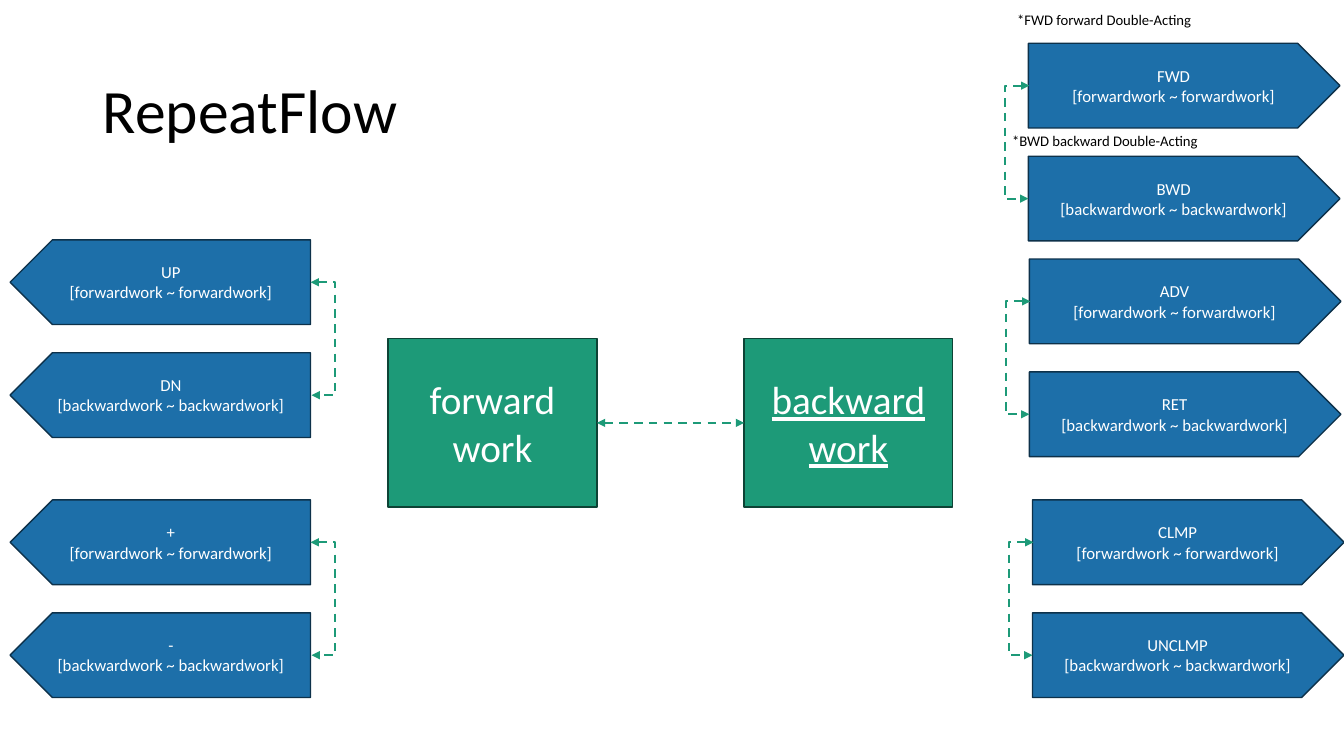
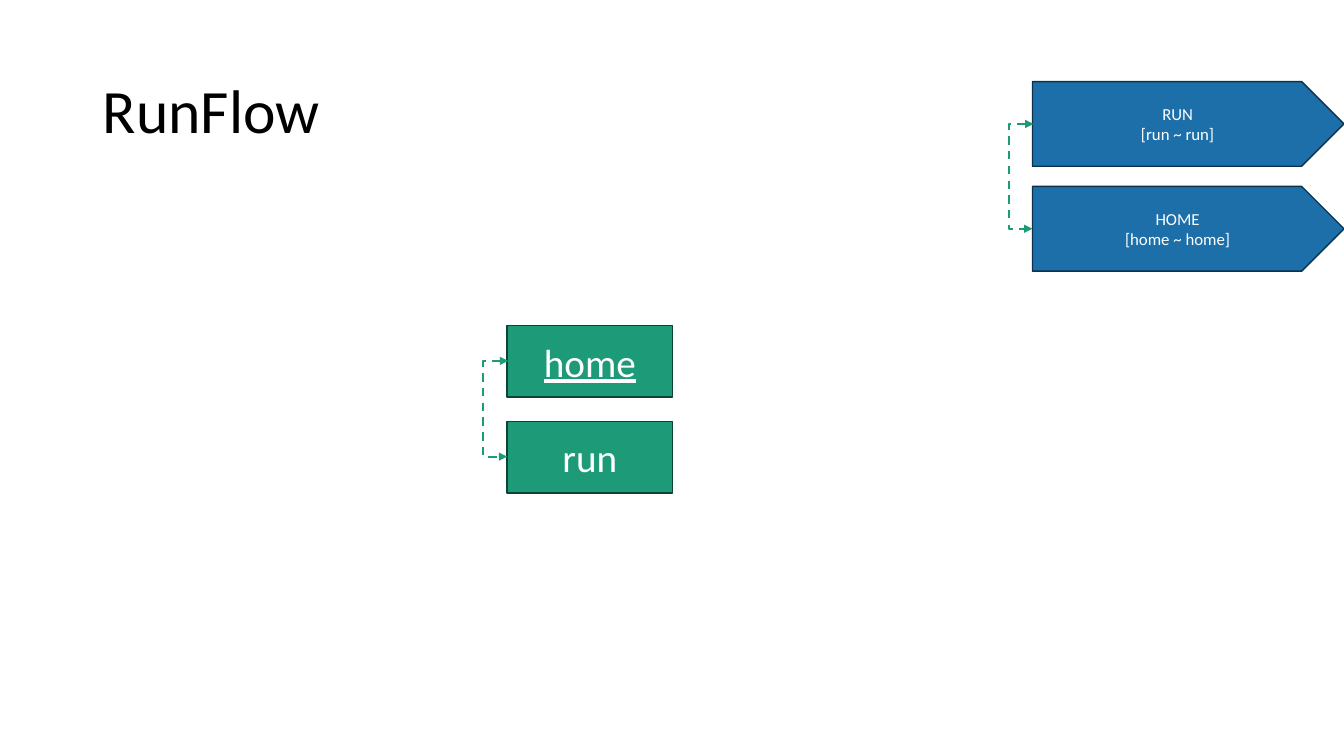
from dataclasses import dataclass

from pptx import Presentation
from pptx.dml.color import RGBColor
from pptx.enum.dml import MSO_LINE
from pptx.enum.shapes import MSO_CONNECTOR, MSO_SHAPE
from pptx.enum.text import MSO_ANCHOR, MSO_AUTO_SIZE, PP_ALIGN
from pptx.oxml.ns import qn
from pptx.util import Emu, Pt
from lxml.etree import SubElement

PX = 9144  # 100 px to the inch
SLIDE_W, SLIDE_H = 1333, 750
TAG_W, TAG_H = 309, 84
LEFT_TAG_X, LEFT_TAG_W = 10, 298
TAG_STEP = 112
REACH = 24
TITLE_ONLY = 5


@dataclass(frozen=True)
class Theme:
    font: str = "Calibri"
    black: RGBColor = RGBColor.from_string("000000")
    white: RGBColor = RGBColor.from_string("FFFFFF")
    green: RGBColor = RGBColor.from_string("1D9A78")
    green_edge: RGBColor = RGBColor.from_string("0D4335")
    blue: RGBColor = RGBColor.from_string("1D6FA9")
    blue_edge: RGBColor = RGBColor.from_string("0D314A")
    title: float = 44
    state: float = 28
    tag: float = 12
    note: float = 10.5
    edge: float = 1
    arrow: float = 1.5


def px(*lengths):
    return [Emu(n * PX) for n in lengths]


class Deck:
    def __init__(self, theme):
        self.theme = theme
        self.prs = Presentation()
        self.prs.slide_width, self.prs.slide_height = px(SLIDE_W, SLIDE_H)
        self.slide = None

    def add_text(self, tf, lines, size, color, align=PP_ALIGN.LEFT, underline=None):
        tf.word_wrap = True
        for i, line in enumerate(lines):
            p = tf.paragraphs[0] if i == 0 else tf.add_paragraph()
            p.alignment = align
            r = p.add_run()
            r.text = line
            r.font.name = self.theme.font
            r.font.size = Pt(size)
            r.font.color.rgb = color
            r.font.underline = underline

    def new_slide(self, title):
        self.slide = self.prs.slides.add_slide(self.prs.slide_layouts[TITLE_ONLY])
        s = self.slide.shapes.title
        s.left, s.top, s.width, s.height = px(92, 40, 1150, 145)
        tf = s.text_frame
        tf.auto_size = MSO_AUTO_SIZE.NONE
        tf.vertical_anchor = MSO_ANCHOR.MIDDLE
        self.add_text(tf, [title], self.theme.title, self.theme.black)
        tf.paragraphs[0].line_spacing = 0.9

    def box(self, kind, at, fill, edge, lines, size, underline=None):
        s = self.slide.shapes.add_shape(kind, *px(*at))
        s.shadow.inherit = False
        s.fill.solid()
        s.fill.fore_color.rgb = fill
        s.line.color.rgb = edge
        s.line.width = Pt(self.theme.edge)
        s.text_frame.vertical_anchor = MSO_ANCHOR.MIDDLE
        self.add_text(s.text_frame, lines, size, self.theme.white,
                      PP_ALIGN.CENTER, underline)
        return s

    def state(self, at, *lines, underline=None):
        t = self.theme
        return self.box(MSO_SHAPE.RECTANGLE, at, t.green, t.green_edge,
                        lines, t.state, underline)

    def tag(self, x, y, name, work, points_left=False):
        t = self.theme
        width = LEFT_TAG_W if points_left else TAG_W
        s = self.box(MSO_SHAPE.PENTAGON, (x, y, width, TAG_H), t.blue,
                     t.blue_edge, [name, f"[{work} ~ {work}]"], t.tag)
        if points_left:
            s.element.spPr.get_or_add_xfrm().set("flipH", "1")

    def arrow(self, kind, start, end):
        """Draw a dashed connector with a head at both ends."""
        c = self.slide.shapes.add_connector(kind, *px(*start, *end))
        c.line.color.rgb = self.theme.green
        c.line.width = Pt(self.theme.arrow)
        c.line.dash_style = MSO_LINE.DASH
        ln = c.element.spPr.find(qn("a:ln"))
        for tip in ("a:headEnd", "a:tailEnd"):
            SubElement(ln, qn(tip), type="triangle")
        SubElement(c.element.spPr, qn("a:effectLst"))
        return c

    def bracket(self, x, y1, y2, to_left=True):
        """Join two heights at edge x by an elbow that bulges out by REACH."""
        # The bulge is a multiple of the width, so the ends sit 1 px apart.
        x1, x2 = (x + 1, x) if to_left else (x, x + 1)
        c = self.arrow(MSO_CONNECTOR.ELBOW, (x1, y1), (x2, y2))
        av = c.element.spPr.find(qn("a:prstGeom")).get_or_add_avLst()
        SubElement(av, qn("a:gd"), name="adj1", fmla=f"val {(REACH + 1) * 100000}")

    def tag_pair(self, x, y, names, works, step=TAG_STEP, points_left=False):
        for i, (name, work) in enumerate(zip(names, works)):
            self.tag(x, y + i * step, name, work, points_left)
        edge = x + LEFT_TAG_W if points_left else x
        middle = y + TAG_H // 2
        self.bracket(edge, middle, middle + step, to_left=not points_left)

    def note(self, at, text):
        s = self.slide.shapes.add_textbox(*px(*at))
        self.add_text(s.text_frame, [text], self.theme.note, self.theme.black)
        s.text_frame.auto_size = MSO_AUTO_SIZE.SHAPE_TO_FIT_TEXT


def repeat_flow(deck):
    deck.new_slide("RepeatFlow")
    forward = deck.state((385, 336, 207, 167), "forward", "work")
    backward = deck.state((738, 336, 207, 167), "backward", "work", underline=True)
    link = deck.arrow(MSO_CONNECTOR.STRAIGHT, (592, 419), (738, 419))
    link.begin_connect(forward, 3)
    link.end_connect(backward, 1)

    works = ("forwardwork", "backwardwork")
    for x, y, names in ((1020, 43, ("FWD", "BWD")),
                        (1021, 257, ("ADV", "RET")),
                        (1024, 496, ("CLMP", "UNCLMP"))):
        deck.tag_pair(x, y, names, works)
    for y, names in ((238, ("UP", "DN")), (496, ("+", "-"))):
        deck.tag_pair(LEFT_TAG_X, y, names, works, points_left=True)
    deck.note((999, 6, 309, 29), "*FWD forward Double-Acting")
    deck.note((994, 126, 339, 29), "*BWD backward Double-Acting")


def run_flow(deck):
    deck.new_slide("RunFlow")
    x, y, width, height, step = 503, 323, 164, 71, 95
    deck.state((x, y, width, height), "home", underline=True)
    deck.state((x, y + step, width, height), "run")
    middle = y + height // 2
    deck.bracket(x, middle, middle + step)
    deck.tag_pair(1024, 81, ("RUN", "HOME"), ("run", "home"), step=104)


def main():
    deck = Deck(Theme())
    repeat_flow(deck)
    run_flow(deck)
    deck.prs.save("out.pptx")


if __name__ == "__main__":
    main()
